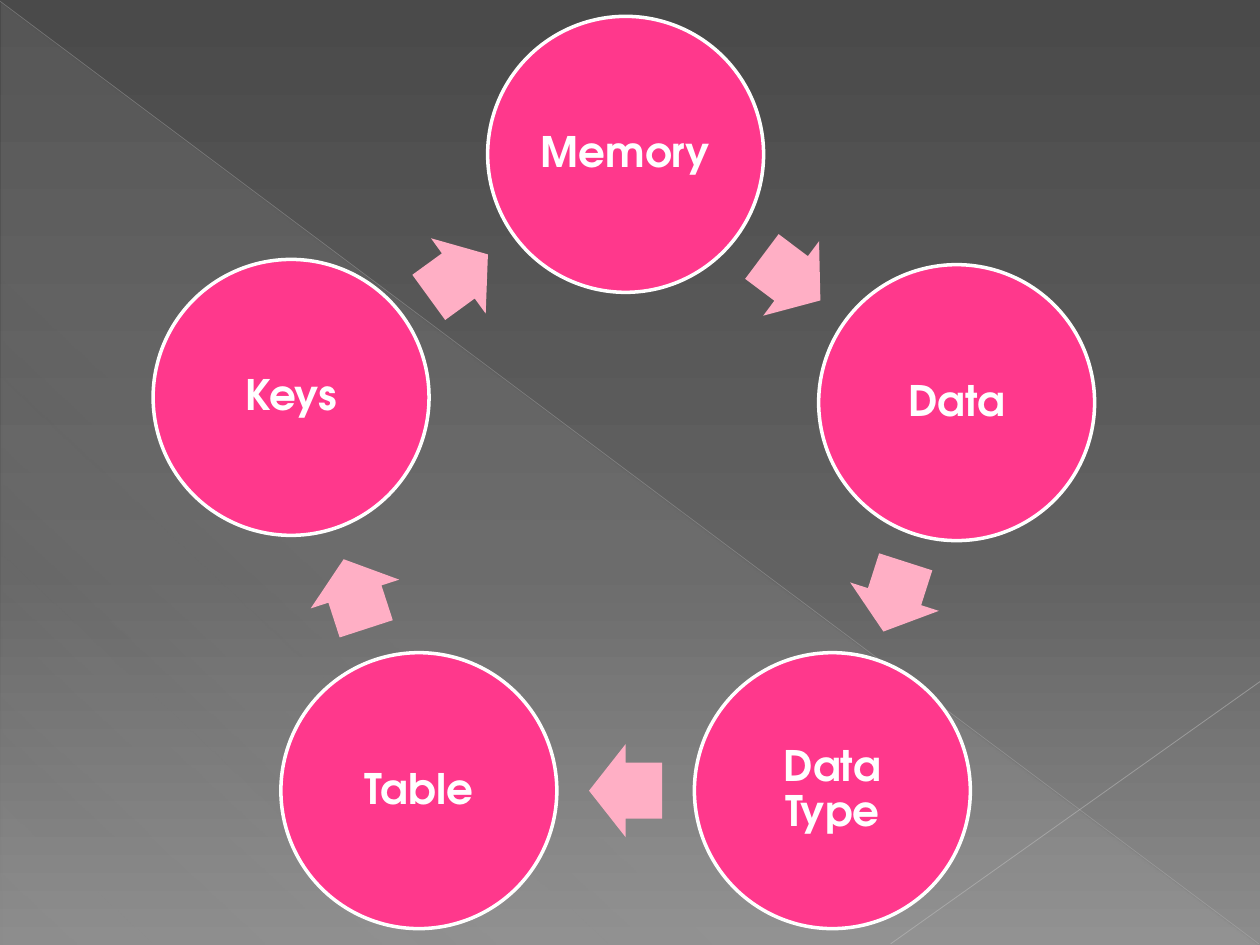
from dataclasses import dataclass
from math import atan2, cos, degrees, radians, sin

from lxml import etree
from pptx import Presentation
from pptx.dml.color import RGBColor
from pptx.enum.shapes import MSO_CONNECTOR, MSO_SHAPE
from pptx.enum.text import MSO_ANCHOR, PP_ALIGN
from pptx.oxml.ns import qn
from pptx.util import Pt

CIRCLE = MSO_SHAPE.OVAL
ARROW = MSO_SHAPE.RIGHT_ARROW
TRIANGLE = MSO_SHAPE.RIGHT_TRIANGLE
STRAIGHT = MSO_CONNECTOR.STRAIGHT
MIDDLE = MSO_ANCHOR.MIDDLE
CENTER = PP_ALIGN.CENTER

WIDTH, HEIGHT = 720, 540


@dataclass(frozen=True)
class Theme:
    font: str = "TeX Gyre Adventor"
    label_size: float = 24
    circle: str = "FF388C"
    arrow: str = "FFAFC5"
    white: str = "FFFFFF"
    long_line: str = "BFBFBF"
    short_line: str = "C6C6C6"
    # Gradient stops: position, colour, opacity (all in percent)
    background: tuple = ((0, "4A4A4A", 100), (60, "626262", 100), (100, "8C8C8C", 100))
    triangle: tuple = ((0, "D2D2D2", 10), (70, "D2D2D2", 8), (100, "D2D2D2", 1))


def set_opacity(color_element, percent):
    etree.SubElement(color_element, qn("a:alpha"), val=str(percent * 1000))


class SlideBuilder:
    def __init__(self, slide, theme):
        self.slide = slide
        self.theme = theme

    def gradient(self, fill, owner, stops, angle):
        """Give a fill any number of stops, with the angle clockwise."""
        fill.gradient()
        fill.gradient_angle = 360 - angle
        stop_list = next(owner.iter(qn("a:gsLst")))
        for stop in list(stop_list):
            stop_list.remove(stop)
        for position, color, opacity in stops:
            stop = etree.SubElement(stop_list, qn("a:gs"), pos=str(position * 1000))
            set_opacity(etree.SubElement(stop, qn("a:srgbClr"), val=color), opacity)

    def background(self):
        self.gradient(self.slide.background.fill, self.slide.element,
                      self.theme.background, 90)

    def shape(self, kind, left, top, width, height, color=None):
        shape = self.slide.shapes.add_shape(
            kind, Pt(left), Pt(top), Pt(width), Pt(height))
        shape.shadow.inherit = False
        shape.line.fill.background()
        if color:
            shape.fill.solid()
            shape.fill.fore_color.rgb = RGBColor.from_string(color)
        return shape

    def triangle(self, left, top, width, height):
        shape = self.shape(TRIANGLE, left, top, width, height)
        self.gradient(shape.fill, shape.element, self.theme.triangle, 133)

    def line(self, start, end, color, width, opacity):
        line = self.slide.shapes.add_connector(
            STRAIGHT, *(Pt(value) for value in (*start, *end)))
        line.line.width = Pt(width)
        line.line.color.rgb = RGBColor.from_string(color)
        set_opacity(next(line.element.iter(qn("a:srgbClr"))), opacity)
        etree.SubElement(line.element.spPr, qn("a:effectLst"))

    def circle(self, center, diameter, text):
        x, y = center
        shape = self.shape(CIRCLE, x - diameter / 2, y - diameter / 2,
                           diameter, diameter, self.theme.circle)
        shape.line.color.rgb = RGBColor.from_string(self.theme.white)
        shape.line.width = Pt(2)
        frame = shape.text_frame
        frame.word_wrap = True
        frame.vertical_anchor = MIDDLE
        frame.margin_left = frame.margin_right = Pt(2.4)
        frame.margin_top = frame.margin_bottom = Pt(2.4)
        paragraph = frame.paragraphs[0]
        paragraph.text = text
        paragraph.alignment = CENTER
        paragraph.line_spacing = 0.9
        font = paragraph.font
        font.name = self.theme.font
        font.size = Pt(self.theme.label_size)
        font.bold = True
        font.color.rgb = RGBColor.from_string(self.theme.white)

    def arrow(self, start, end, length, breadth):
        """Place an arrow halfway between two centres, pointing to the second."""
        (x1, y1), (x2, y2) = start, end
        shape = self.shape(ARROW, (x1 + x2 - length) / 2, (y1 + y2 - breadth) / 2,
                           length, breadth, self.theme.arrow)
        shape.adjustments[0] = 0.6
        shape.adjustments[1] = 0.5
        shape.rotation = degrees(atan2(y2 - y1, x2 - x1)) % 360


def cycle_centers(count, x, y, radius):
    """Spread centres evenly on a ring, clockwise from the top."""
    angles = [radians(360 * index / count - 90) for index in range(count)]
    return [(x + radius * cos(angle), y + radius * sin(angle)) for angle in angles]


def main():
    presentation = Presentation()
    presentation.slide_width = Pt(WIDTH)
    presentation.slide_height = Pt(HEIGHT)
    theme = Theme()
    slide = presentation.slides.add_slide(presentation.slide_layouts[6])
    builder = SlideBuilder(slide, theme)

    # Backdrop
    builder.background()
    builder.triangle(0.7, 1.4, 718.6, 538.6)
    builder.line((0, 0.7), (719.3, 539.3), theme.long_line, 0.39, 35)
    builder.line((WIDTH, 389.5), (509, 539.3), theme.short_line, 0.47, 45)

    # Cycle of topics; Data sits slightly inside the ring
    topics = ["Memory", "Data", "Data Type", "Table", "Keys"]
    centers = cycle_centers(len(topics), 357.5, 289.2, 201)
    data_x, data_y = centers[1]
    centers[1] = (data_x - 2, data_y + 3)
    next_centers = centers[1:] + centers[:1]
    for topic, center, next_center in zip(topics, centers, next_centers):
        builder.circle(center, 157.7, topic)
        builder.arrow(center, next_center, 41.8, 53.2)

    presentation.save("out.pptx")


if __name__ == "__main__":
    main()
